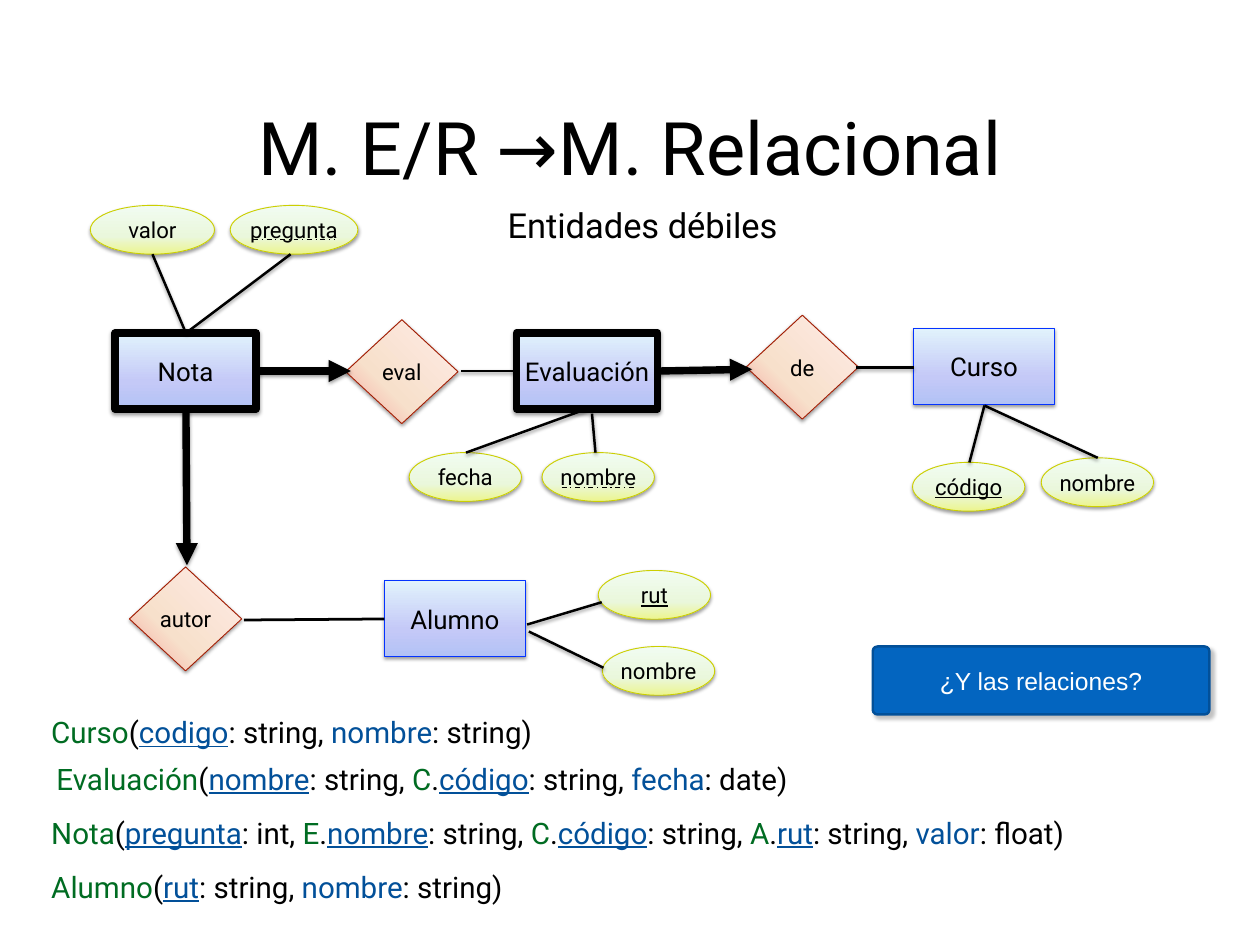
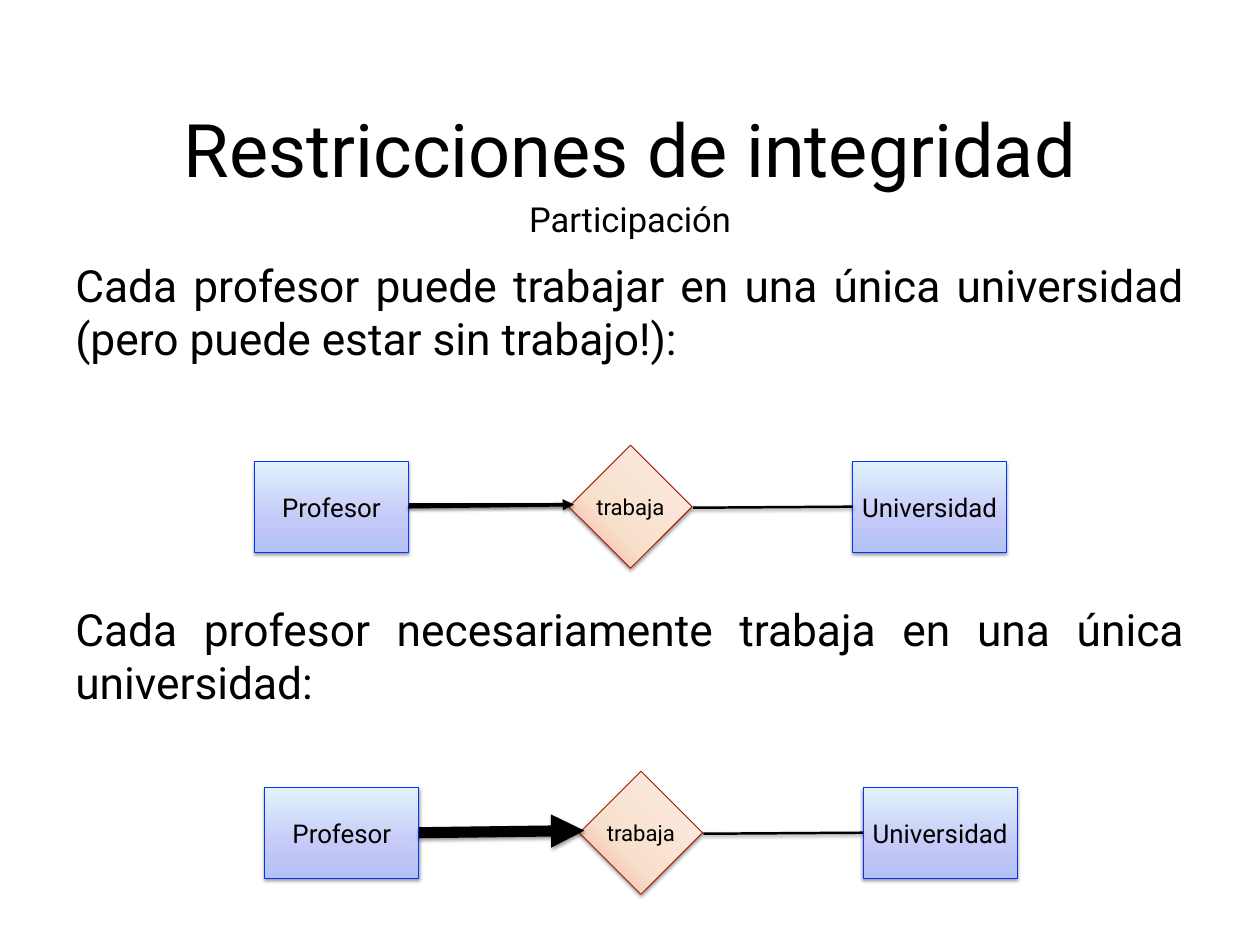
from copy import deepcopy
from dataclasses import dataclass

from lxml.etree import SubElement
from pptx import Presentation
from pptx.dml.color import RGBColor
from pptx.enum.dml import MSO_LINE_DASH_STYLE as DASH
from pptx.enum.shapes import MSO_CONNECTOR, MSO_SHAPE as SHAPE
from pptx.enum.text import MSO_ANCHOR as ANCHOR, PP_ALIGN as ALIGN
from pptx.oxml.ns import qn
from pptx.util import Cm, Pt


@dataclass(frozen=True)
class Kind:
    """Look of one kind of diagram node."""
    shape: int
    stops: tuple
    angle: int
    line: str
    text_size: int


@dataclass(frozen=True)
class Theme:
    font: str = "Roboto"
    button_font: str = "Arial"
    black: str = "000000"
    white: str = "FFFFFF"
    green: str = "006C22"
    blue: str = "025099"
    button: str = "0365C0"
    title: int = 60
    subtitle: int = 28
    body: int = 36
    schema: int = 24
    button_size: int = 20
    thin: float = 2
    thick: float = 6
    entity: Kind = Kind(SHAPE.RECTANGLE, ("B2C2F5", "C4C9F7", "E1F2FC"), 90, "0433FF", 21)
    relation: Kind = Kind(SHAPE.DIAMOND, ("F5A09A", "F7E0CB", "FFEBE7"), 45, "A01D04", 18)
    attribute: Kind = Kind(SHAPE.OVAL, ("ECF58E", "EAF7DC", "F1FCF1"), 90, "CCCF00", 18)


THEME = Theme()
WIDTH, HEIGHT = 36.12, 27.1
STOP_POSITIONS = (0, 0.36, 1)


def rgb(color):
    return RGBColor.from_string(color)


def add_run(p, text, size, color=THEME.black, font=THEME.font, underline=None):
    r = p.add_run()
    r.text = text
    r.font.name, r.font.size = font, Pt(size)
    r.font.color.rgb = rgb(color)
    r.font.underline = underline


def setup_frame(sp, inset=0, anchor=ANCHOR.MIDDLE, wrap=False, align=ALIGN.CENTER):
    """Format the text frame and return its first paragraph."""
    tf = sp.text_frame
    tf.word_wrap, tf.vertical_anchor = wrap, anchor
    tf.margin_left = tf.margin_right = tf.margin_top = tf.margin_bottom = Cm(inset)
    tf.paragraphs[0].alignment = align
    return tf.paragraphs[0]


def add_shadow(effects, alpha=38, dist=1.6, angle=90):
    shadow = SubElement(effects, qn("a:outerShdw"), blurRad=str(Pt(3)), dist=str(Pt(dist)),
                        dir=str(angle * 60000), rotWithShape="0")
    color = SubElement(shadow, qn("a:srgbClr"), val=THEME.black)
    SubElement(color, qn("a:alpha"), val=str(alpha * 1000))


def add_shape_shadow(sp, **look):
    sp.shadow.inherit = False
    add_shadow(sp._element.spPr.find(qn("a:effectLst")), **look)


def fill_gradient(sp, colors, angle):
    sp.fill.gradient()
    sp.fill.gradient_angle = angle
    gs_list = sp._element.spPr.find(".//" + qn("a:gsLst"))
    gs_list.insert(1, deepcopy(gs_list[0]))
    for stop, position, color in zip(sp.fill.gradient_stops, STOP_POSITIONS, colors):
        stop.position = position
        stop.color.rgb = rgb(color)


class Deck:
    def __init__(self):
        self.prs = Presentation()
        self.prs.slide_width, self.prs.slide_height = Cm(WIDTH), Cm(HEIGHT)
        self.slide = None

    def new_slide(self):
        self.slide = self.prs.slides.add_slide(self.prs.slide_layouts[6])

    def textbox(self, x, y, w, h, inset=0.15, **frame):
        box = self.slide.shapes.add_textbox(Cm(x), Cm(y), Cm(w), Cm(h))
        return setup_frame(box, inset, wrap=True, **frame)

    def heading(self, title, subtitle, title_y, subtitle_y, subtitle_shift=0):
        w, h = 27, 2.8
        add_run(self.textbox((WIDTH - w) / 2, title_y, w, h), title, THEME.title)
        w, h = 16, 1.46
        x = (WIDTH - w) / 2 + subtitle_shift
        add_run(self.textbox(x, subtitle_y, w, h), subtitle, THEME.subtitle)

    def body(self, text, y):
        p = self.textbox(2.01, y, 32.1, 3.28, align=ALIGN.JUSTIFY)
        add_run(p, text, THEME.body)

    def node(self, kind, text, x, y, w, h, weak=False, underline=None):
        """Add an entity, relation or attribute; a weak entity has a thick black outline."""
        sp = self.slide.shapes.add_shape(kind.shape, Cm(x), Cm(y), Cm(w), Cm(h))
        fill_gradient(sp, kind.stops, kind.angle)
        sp.line.color.rgb = rgb(THEME.black if weak else kind.line)
        sp.line.width = Pt(THEME.thick if weak else 0.75)
        add_shape_shadow(sp)
        add_run(setup_frame(sp), text, kind.text_size, underline=underline)

    def line(self, x1, y1, x2, y2, width=THEME.thin, arrow=False, dash=None, shadow=True):
        cx = self.slide.shapes.add_connector(
            MSO_CONNECTOR.STRAIGHT, Cm(x1), Cm(y1), Cm(x2), Cm(y2))
        cx.line.color.rgb = rgb(THEME.black)
        cx.line.width = Pt(width)
        if dash:
            cx.line.dash_style = dash
        if arrow:
            SubElement(cx.line._get_or_add_ln(), qn("a:tailEnd"), type="triangle")
        effects = SubElement(cx._element.spPr, qn("a:effectLst"))
        if shadow:
            add_shadow(effects)

    def button(self, text, x, y, w, h):
        sp = self.slide.shapes.add_shape(SHAPE.ROUNDED_RECTANGLE, Cm(x), Cm(y), Cm(w), Cm(h))
        sp.adjustments[0] = 0.07
        sp.fill.solid()
        sp.fill.fore_color.rgb = rgb(THEME.button)
        sp.line.color.rgb = rgb(THEME.blue)
        sp.line.width = Pt(2)
        add_shape_shadow(sp, alpha=24, dist=3.3, angle=44)
        add_run(setup_frame(sp), text, THEME.button_size, THEME.white, THEME.button_font)

    def schema(self, x, y, table, columns):
        """Write table(column: type, ...); a column is (name, type, is_key)."""
        p = self.textbox(x, y, 31.34, 1.55, inset=0.25, anchor=ANCHOR.TOP, align=ALIGN.LEFT)
        size = THEME.schema
        add_run(p, table, size, THEME.green)
        add_run(p, "(", size)
        for i, (name, type_name, is_key) in enumerate(columns, 1):
            owner, dot, name = name.rpartition(".")
            if owner:
                add_run(p, owner, size, THEME.green)
                add_run(p, dot, size)
            add_run(p, name, size, THEME.blue, underline=is_key or None)
            add_run(p, f": {type_name}" + (")" if i == len(columns) else ", "), size)

    def works_at(self, x, y, arrow_width):
        """Draw Profesor, trabaja and Universidad from the top left of Profesor."""
        w, h = 4.42, 2.62
        self.line(x + w / 2, y + 1.24, x + 10.77, y + 1.24)
        self.node(THEME.entity, "Profesor", x, y, w, h)
        self.node(THEME.relation, "trabaja", x + 9.02, y - 0.46, 3.53, 3.53)
        self.node(THEME.entity, "Universidad", x + 17.15, y, w, h)
        self.line(x + 12.57, y + 1.33, x + 17.15, y + 1.3)
        self.line(x + w, y + 1.3, x + 9.16, y + 1.24, width=arrow_width, arrow=True)


def weak_entities_slide(deck):
    deck.new_slide()
    deck.heading("M. E/R →M. Relacional", "Entidades débiles", 2.79, 5.72, subtitle_shift=0.36)

    for text, x, y, weak in (("Nota", 3.3, 9.55, True), ("Evaluación", 14.81, 9.55, True),
                             ("Curso", 26.19, 9.42, False), ("Alumno", 11.02, 16.66, False)):
        deck.node(THEME.entity, text, x, y, 4.04, 2.18, weak=weak)
    for text, x, y in (("eval", 9.91, 9.17), ("de", 21.39, 9.04), ("autor", 3.71, 16.26)):
        deck.node(THEME.relation, text, x, y, 3.22, 2.98)
    for text, x, y, w, is_key in (
            ("valor", 2.59, 5.89, 3.56, False), ("pregunta", 6.6, 5.89, 3.66, False),
            ("fecha", 11.73, 12.98, 3.22, False), ("nombre", 15.54, 12.98, 3.22, False),
            ("código", 26.16, 13.26, 3.22, True), ("nombre", 29.85, 13.13, 3.22, False),
            ("rut", 17.15, 16.36, 3.22, True), ("nombre", 17.27, 18.54, 3.22, False)):
        deck.node(THEME.attribute, text, x, y, w, 1.4, underline=is_key or None)

    for ends in ((4.37, 7.29, 5.33, 9.55), (8.33, 7.29, 5.33, 9.55),
                 (13.36, 12.98, 16.81, 11.73), (17.07, 12.98, 16.97, 11.86),
                 (28.22, 11.63, 27.79, 13.26), (28.22, 11.63, 31.47, 13.13),
                 (17.25, 17.27, 15.11, 17.91), (17.3, 19.15, 15.16, 18.11),
                 (13.21, 10.64, 14.81, 10.64), (24.54, 10.54, 26.19, 10.54)):
        deck.line(*ends)
    deck.line(11.02, 17.75, 6.99, 17.78, width=2.25, shadow=False)
    for ends in ((7.34, 10.64, 10.06, 10.64), (18.85, 10.64, 21.56, 10.59),
                 (5.33, 11.73, 5.36, 16.21)):
        deck.line(*ends, width=THEME.thick, arrow=True)
    for x1, x2, y in ((7.26, 9.6, 6.86), (16.1, 18.19, 13.97)):
        deck.line(x1, y, x2, y, width=1, dash=DASH.DASH_DOT, shadow=False)

    deck.button("¿Y las relaciones?", 25.02, 18.54, 9.65, 1.95)
    deck.schema(1.22, 20.22, "Curso", [("codigo", "string", True), ("nombre", "string", False)])
    deck.schema(1.37, 21.56, "Evaluación", [
        ("nombre", "string", True), ("C.código", "string", True), ("fecha", "date", False)])
    deck.schema(1.22, 23.11, "Nota", [
        ("pregunta", "int", True), ("E.nombre", "string", True), ("C.código", "string", True),
        ("A.rut", "string", True), ("valor", "float", False)])
    deck.schema(1.22, 24.66, "Alumno", [("rut", "string", True), ("nombre", "string", False)])


def participation_slide(deck):
    deck.new_slide()
    deck.heading("Restricciones de integridad", "Participación", 2.83, 5.53)
    deck.body("Cada profesor puede trabajar en una única universidad "
              "(pero puede estar sin trabajo!):", 7.29)
    deck.works_at(7.29, 13.23, arrow_width=3)
    deck.body("Cada profesor necesariamente trabaja en una única universidad:", 17.15)
    deck.works_at(7.59, 22.58, arrow_width=9)


def main():
    deck = Deck()
    weak_entities_slide(deck)
    participation_slide(deck)
    deck.prs.save("out.pptx")


if __name__ == "__main__":
    main()
